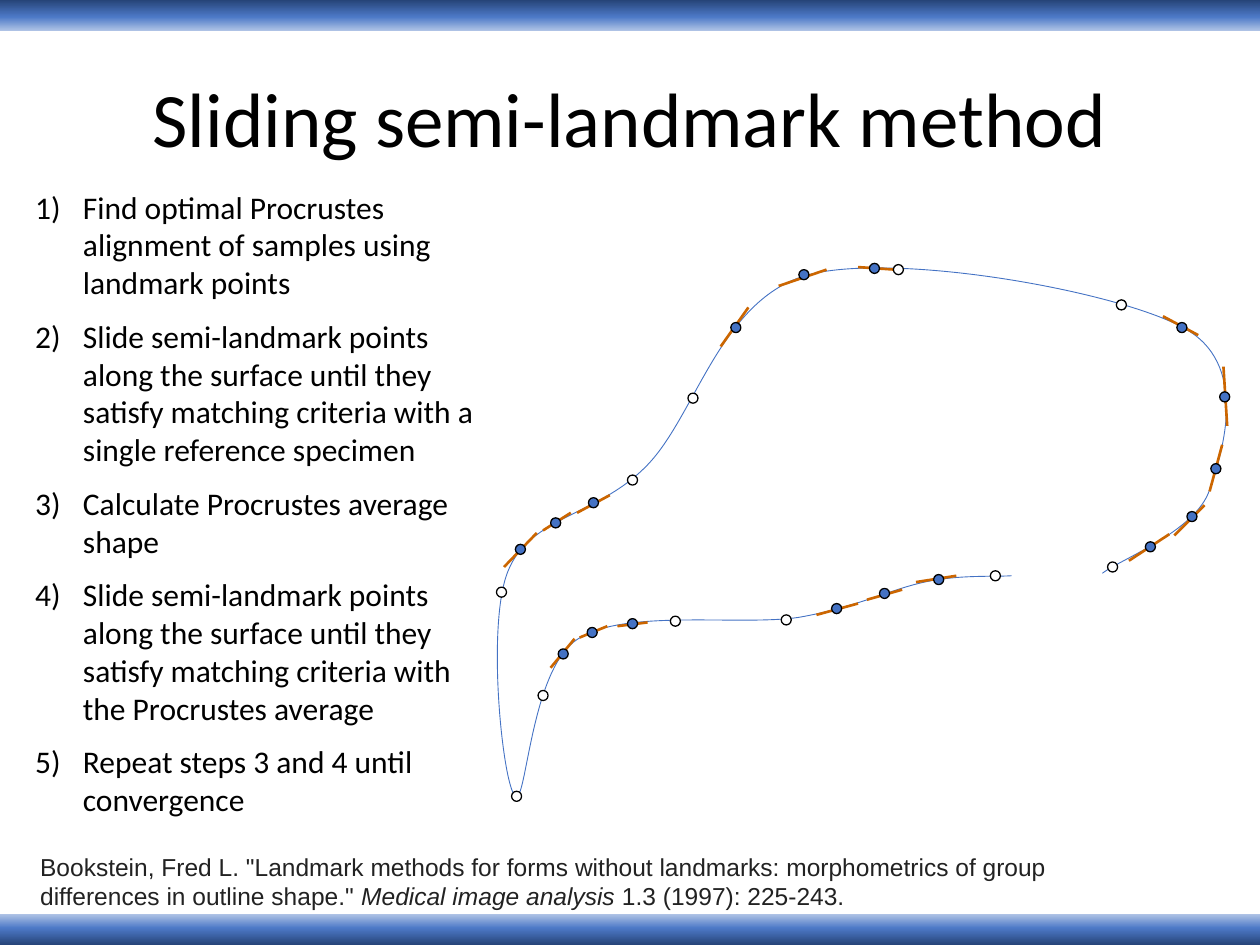
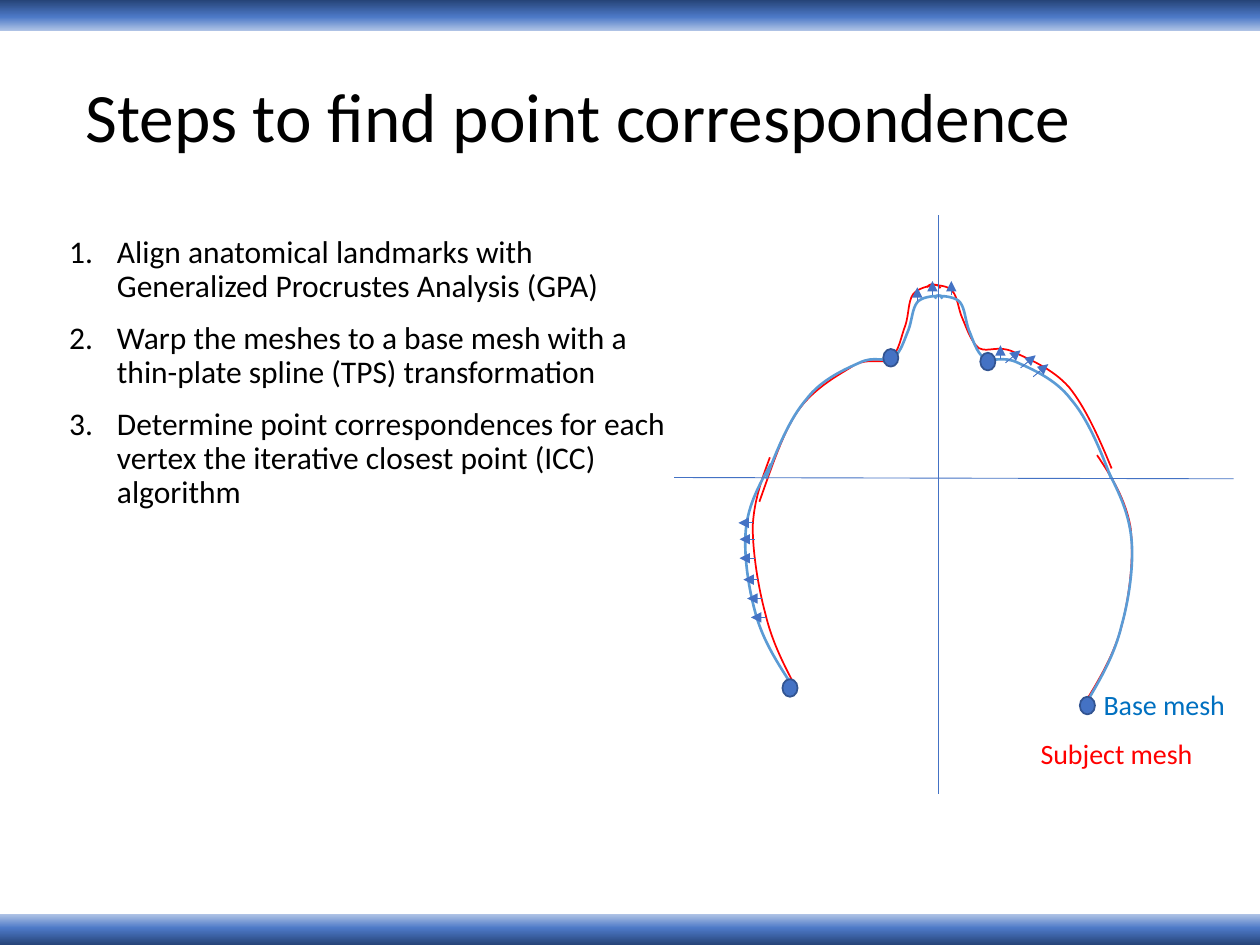
from copy import deepcopy
from dataclasses import dataclass
from typing import NamedTuple

from lxml import etree
from pptx import Presentation
from pptx.dml.color import RGBColor
from pptx.enum import shapes, text
from pptx.oxml.ns import qn
from pptx.util import Inches, Pt

PAGE_WIDTH, PAGE_HEIGHT = Inches(10), Inches(7.5)
COLUMNS, ROWS = 1000, 750


@dataclass(frozen=True)
class Theme:
    black: str = "000000"
    white: str = "FFFFFF"
    accent: str = "4472C4"
    dot_edge: str = "325491"
    tangent: str = "CC6600"
    subject: str = "FF0000"
    base: str = "5B9BD5"
    base_label: str = "0070C0"
    citation: str = "222222"
    band: tuple = ((0, "B4C7E7"), (0.46, "4D79C7"), (1, "264478"))
    body_font: str = "Calibri"
    citation_font: str = "Arial"
    title_size: float = 44
    small_title_size: float = 39.6
    body_size: float = 18
    label_size: float = 16
    citation_size: float = 14


THEME = Theme()


class Area(NamedTuple):
    column: float
    row: float
    columns: float
    rows: float


class Span(NamedTuple):
    words: str
    italic: bool = False


class Stroke(NamedTuple):
    color: str
    width: float


@dataclass(frozen=True)
class Style:
    size: float
    color: str = THEME.black
    font: str = THEME.body_font
    align: text.PP_ALIGN = text.PP_ALIGN.LEFT
    anchor: text.MSO_ANCHOR = text.MSO_ANCHOR.TOP
    line_spacing: float = 1.0
    space_before: float = 0
    numbering: str = ""


@dataclass(frozen=True)
class Dot:
    width: float
    height: float
    fill: str
    edge: Stroke


FINE_LINE = Stroke(THEME.accent, 0.5)
TANGENT_LINE = Stroke(THEME.tangent, 1.5)
SUBJECT_LINE = Stroke(THEME.subject, 1)
BASE_LINE = Stroke(THEME.base, 1.5)
SUBJECT_TILT = -2.5

LANDMARK = Dot(8, 8, THEME.white, Stroke(THEME.black, 0.75))
SEMI_LANDMARK = Dot(8, 8, THEME.accent, Stroke(THEME.black, 0.75))
MESH_LANDMARK = Dot(12, 14, THEME.accent, Stroke(THEME.dot_edge, 1))

SLIDING_STEPS = (
    "Find optimal Procrustes alignment of samples using landmark points",
    "Slide semi-landmark points along the surface until they satisfy matching criteria with a single reference specimen",
    "Calculate Procrustes average shape",
    "Slide semi-landmark points along the surface until they satisfy matching criteria with the Procrustes average",
    "Repeat steps 3 and 4 until convergence",
)
CITATION = (
    Span('Bookstein, Fred L. "Landmark methods for forms without landmarks: '
         'morphometrics of group differences in outline shape." '),
    Span("Medical image analysis", italic=True),
    Span(" 1.3 (1997): 225-243."),
)
SKULL_OUTLINE = (
    (875, 455), (889, 444), (949, 422), (960, 389), (971, 357), (992, 288), (939, 260),
    (886, 231), (713, 200), (642, 218), (571, 237), (552, 332), (512, 371),
    (473, 410), (420, 410), (403, 454), (386, 497), (399, 623), (409, 632),
    (418, 640), (421, 530), (459, 507), (496, 483), (588, 497), (634, 490),
    (680, 482), (706, 468), (734, 462), (762, 456), (788, 458), (803, 457),
)
TANGENTS = (
    (923, 251, 951, 266), (971, 291, 974, 338), (572, 275, 594, 244),
    (618, 227, 656, 214), (681, 212, 710, 214), (400, 450, 426, 423),
    (431, 421, 453, 407), (458, 407, 484, 393), (437, 530, 456, 507),
    (460, 506, 482, 497), (490, 497, 514, 494), (727, 462, 759, 457),
    (648, 488, 681, 479), (688, 476, 716, 468), (896, 445, 928, 424),
    (956, 401, 932, 425), (970, 353, 960, 390),
)
LANDMARKS = (
    (546, 312), (709, 210), (406, 628), (532, 489), (498, 377), (394, 466),
    (620, 488), (786, 453), (427, 548), (879, 446), (886, 238),
)
SEMI_LANDMARKS = (
    (634, 214), (580, 256), (690, 209), (498, 491), (466, 498), (443, 515),
    (467, 395), (437, 411), (409, 432), (660, 479), (698, 467), (741, 456),
    (909, 430), (942, 406), (961, 368), (934, 256), (968, 311),
)

CORRESPONDENCE_STEPS = (
    "Align anatomical landmarks with Generalized Procrustes Analysis (GPA)",
    "Warp the meshes to a base mesh with a thin-plate spline (TPS) transformation",
    "Determine point correspondences for each vertex the iterative closest point (ICC) algorithm",
)
SUBJECT_CURVES = (
    ((875, 361), (886, 379), (896, 397), (899, 419), (901, 442), (896, 473), (889, 496),
     (882, 519), (869, 539), (856, 558)),
    ((615, 363), (608, 380), (601, 396), (599, 417), (598, 437), (601, 465), (606, 487),
     (610, 508), (618, 526), (626, 543)),
    ((599, 395), (610, 368), (620, 341), (633, 324), (647, 306), (667, 297), (679, 290),
     (692, 284), (701, 291), (708, 286), (715, 281), (717, 269), (721, 260),
     (724, 252), (724, 241), (728, 236), (732, 231), (741, 230), (745, 229),
     (748, 229), (749, 230), (750, 232)),
    ((879, 375), (870, 350), (860, 325), (848, 309), (835, 293), (816, 285), (805, 279),
     (793, 273), (785, 279), (778, 275), (772, 270), (769, 259), (766, 251),
     (763, 244), (763, 234), (759, 229), (756, 224), (747, 224), (744, 223),
     (741, 222), (740, 224), (739, 225)),
)
BASE_NECK = (
    (608, 380), (617, 356), (627, 332), (640, 317), (652, 301), (671, 293), (682, 288),
    (694, 282), (702, 288), (709, 284), (715, 280), (718, 269), (721, 262),
    (724, 254), (724, 245), (728, 240), (731, 236), (740, 235), (743, 235),
    (747, 234), (747, 235), (748, 237),
)
MIRROR_SUM = 1490
BASE_CURVES = (
    ((880, 375), (888, 391), (896, 407), (898, 428), (900, 448), (896, 476), (890, 497),
     (885, 518), (875, 536), (865, 553)),
    ((612, 368), (603, 384), (594, 400), (592, 420), (590, 440), (594, 467), (600, 488),
     (606, 509), (617, 526), (628, 543)),
    BASE_NECK,
    tuple((MIRROR_SUM - column, row) for column, row in BASE_NECK),
)
MESH_LANDMARKS = ((621, 539), (857, 553), (701, 277), (778, 280))
AXES = ((535, 379, 979, 380), (745, 171, 745, 630))
ARROW_STARTS = {
    (0, -11): ((740, 234), (755, 234), (728, 239), (794, 285)),
    (12, -10): ((798, 288), (810, 292), (820, 299)),
    (-12, 0): ((608, 490), (605, 475), (602, 460), (599, 443), (599, 428), (598, 415)),
}


def across(column: float) -> int:
    return round(column * PAGE_WIDTH / COLUMNS)


def down(row: float) -> int:
    return round(row * PAGE_HEIGHT / ROWS)


def frame(area: Area) -> tuple:
    return across(area.column), down(area.row), across(area.columns), down(area.rows)


def set_stroke(line, stroke: Stroke) -> None:
    line.color.rgb = RGBColor.from_string(stroke.color)
    line.width = Pt(stroke.width)


def add_band(page, row: float, rotation: float) -> None:
    band = page.shapes.add_shape(shapes.MSO_SHAPE.RECTANGLE, *frame(Area(0, row, COLUMNS, 25)))
    band.shadow.inherit = False
    band.rotation = rotation
    band.line.fill.background()
    band.fill.gradient()
    band.fill.gradient_angle = 90
    stop_list = band._element.spPr.find(".//" + qn("a:gsLst"))
    stop_list.append(deepcopy(stop_list[0]))
    for stop, (position, color) in zip(band.fill.gradient_stops, THEME.band):
        stop.position = position
        stop.color.rgb = RGBColor.from_string(color)


def add_text(page, area: Area, paragraphs: tuple, style: Style) -> None:
    box = page.shapes.add_textbox(*frame(area))
    box.text_frame.word_wrap = True
    box.text_frame.vertical_anchor = style.anchor
    for index, spans in enumerate(paragraphs):
        para = box.text_frame.add_paragraph() if index else box.text_frame.paragraphs[0]
        if style.numbering:
            properties = para._p.get_or_add_pPr()
            indent = across(38)
            properties.set("marL", str(indent))
            properties.set("indent", str(-indent))
            etree.SubElement(properties, qn("a:buAutoNum"), type=style.numbering)
        para.alignment = style.align
        para.line_spacing = style.line_spacing
        if index:
            para.space_before = Pt(style.space_before)
        para.font.name = style.font
        para.font.size = Pt(style.size)
        para.font.color.rgb = RGBColor.from_string(style.color)
        for span in spans:
            run = para.add_run()
            run.text = span.words
            if span.italic:
                run.font.italic = True


def plain(*lines: str) -> tuple:
    return tuple((Span(line),) for line in lines)


def add_line(page, ends: tuple, stroke: Stroke, arrow: bool = False) -> None:
    left, top, right, bottom = ends
    line = page.shapes.add_connector(
        shapes.MSO_CONNECTOR.STRAIGHT, across(left), down(top), across(right), down(bottom))
    set_stroke(line.line, stroke)
    properties = line._element.spPr
    if arrow:
        etree.SubElement(properties.find(qn("a:ln")), qn("a:tailEnd"), type="triangle")
    etree.SubElement(properties, qn("a:effectLst"))


def bend_segments(curve) -> None:
    outline = curve._element.spPr.find(".//" + qn("a:path"))
    segments = outline.findall(qn("a:lnTo"))
    for first in range(0, len(segments), 3):
        bend = etree.SubElement(outline, qn("a:cubicBezTo"))
        for segment in segments[first:first + 3]:
            bend.append(segment[0])
            outline.remove(segment)


def add_curve(page, controls: tuple, stroke: Stroke, tilt: float = 0) -> None:
    start, *others = [(across(column), down(row)) for column, row in controls]
    builder = page.shapes.build_freeform(*start)
    builder.add_line_segments(others, close=False)
    curve = builder.convert_to_shape()
    bend_segments(curve)
    curve.rotation = tilt
    curve.shadow.inherit = False
    curve.fill.background()
    set_stroke(curve.line, stroke)


def add_dots(page, corners: tuple, dot: Dot) -> None:
    for column, row in corners:
        oval = page.shapes.add_shape(
            shapes.MSO_SHAPE.OVAL, *frame(Area(column, row, dot.width, dot.height)))
        oval.shadow.inherit = False
        oval.fill.solid()
        oval.fill.fore_color.rgb = RGBColor.from_string(dot.fill)
        set_stroke(oval.line, dot.edge)


def add_page(deck, title: str, area: Area, style: Style):
    page = deck.slides.add_slide(deck.slide_layouts[6])
    add_band(page, 0, 0)
    add_band(page, ROWS - 25, 180)
    add_text(page, area, plain(title), style)
    return page


def build_sliding_page(deck) -> None:
    page = add_page(deck, "Sliding semi-landmark method", Area(50, 30, 900, 125),
                    Style(THEME.title_size, align=text.PP_ALIGN.CENTER,
                          anchor=text.MSO_ANCHOR.MIDDLE))
    add_curve(page, SKULL_OUTLINE, FINE_LINE)
    for ends in TANGENTS:
        add_line(page, ends, TANGENT_LINE)
    add_text(page, Area(18, 144, 381, 571), plain(*SLIDING_STEPS),
             Style(THEME.body_size, space_before=9, numbering="arabicParenR"))
    add_dots(page, LANDMARKS, LANDMARK)
    add_dots(page, SEMI_LANDMARKS, SEMI_LANDMARK)
    add_text(page, Area(22, 671, 862, 57), (CITATION,),
             Style(THEME.citation_size, THEME.citation, THEME.citation_font))


def build_correspondence_page(deck) -> None:
    page = add_page(deck, "Steps to find point correspondence", Area(58, 33, 867, 125),
                    Style(THEME.small_title_size, anchor=text.MSO_ANCHOR.MIDDLE,
                          line_spacing=0.9))
    add_text(page, Area(45, 183, 509, 467), plain(*CORRESPONDENCE_STEPS),
             Style(THEME.body_size, line_spacing=0.9, space_before=10,
                   numbering="arabicPeriod"))
    for controls in SUBJECT_CURVES:
        add_curve(page, controls, SUBJECT_LINE, SUBJECT_TILT)
    for controls in BASE_CURVES:
        add_curve(page, controls, BASE_LINE)
    add_dots(page, MESH_LANDMARKS, MESH_LANDMARK)
    for ends in AXES:
        add_line(page, ends, FINE_LINE)
    for (step_across, step_down), starts in ARROW_STARTS.items():
        for column, row in starts:
            add_line(page, (column, row, column + step_across, row + step_down),
                     FINE_LINE, arrow=True)
    add_text(page, Area(866, 541, 132, 37), plain("Base mesh"),
             Style(THEME.label_size, THEME.base_label))
    add_text(page, Area(816, 580, 159, 37), plain("Subject mesh"),
             Style(THEME.label_size, THEME.subject))


def main() -> None:
    deck = Presentation()
    deck.slide_width, deck.slide_height = PAGE_WIDTH, PAGE_HEIGHT
    build_sliding_page(deck)
    build_correspondence_page(deck)
    deck.save("out.pptx")


if __name__ == "__main__":
    main()
